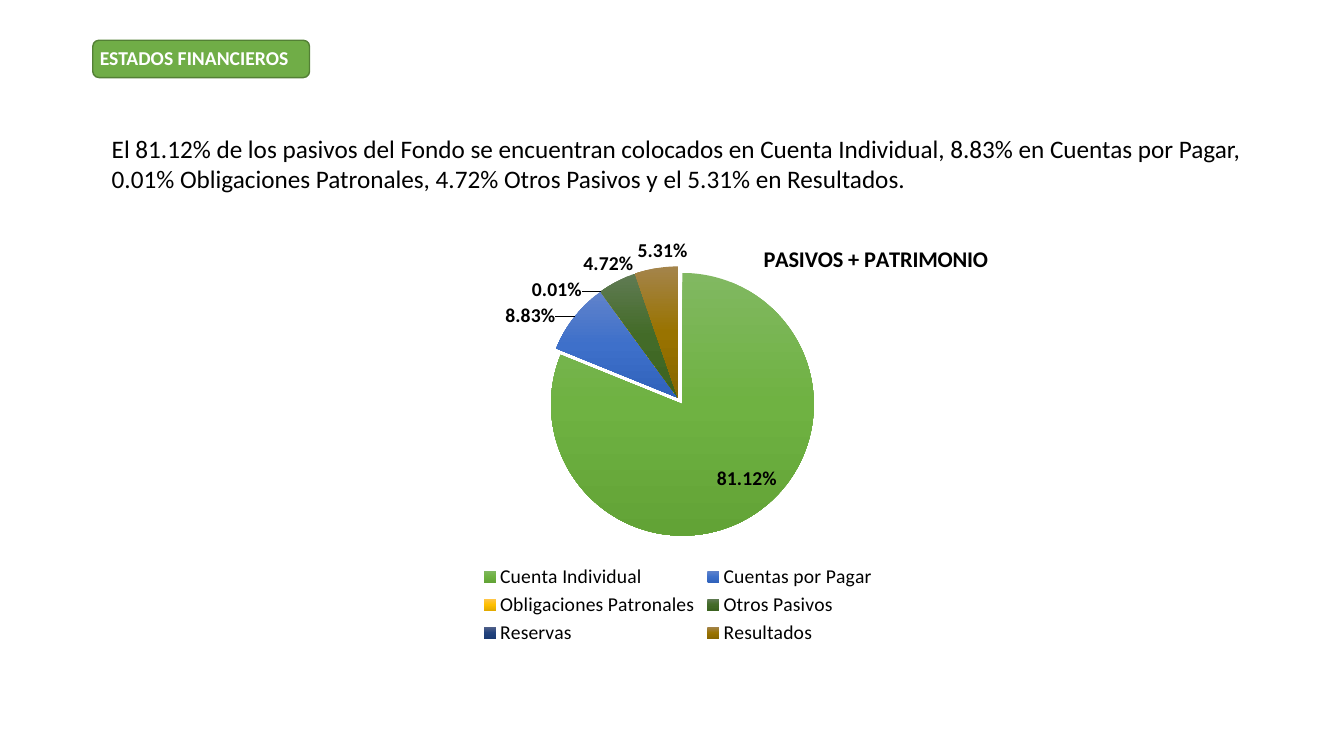
from lxml.etree import SubElement
from pptx import Presentation
from pptx.chart.data import CategoryChartData
from pptx.dml.color import RGBColor
from pptx.enum.chart import XL_CHART_TYPE, XL_LABEL_POSITION, XL_LEGEND_POSITION
from pptx.enum.shapes import MSO_SHAPE
from pptx.enum.text import MSO_ANCHOR
from pptx.oxml.ns import qn
from pptx.util import Inches, Pt

# Content
HEADING = "ESTADOS FINANCIEROS"
SUMMARY = ("El 81.12% de los pasivos del Fondo se encuentran colocados en Cuenta Individual, "
           "8.83% en Cuentas por Pagar, 0.01% Obligaciones Patronales, 4.72% Otros Pasivos "
           "y el 5.31% en Resultados.")
CHART_TITLE = "PASIVOS + PATRIMONIO"
# Category, share, gradient from top to bottom
SLICES = [
    ("Cuenta Individual", 0.8112, ("81B861", "6FB242", "62A336")),
    ("Cuentas por Pagar", 0.0883, ("6183CB", "3E70CA", "3062BB")),
    ("Obligaciones Patronales", 0.0001, ("FFC64B", "FFC000", "E3AB00")),
    ("Otros Pasivos", 0.0472, ("607B53", "436B28", "3B6220")),
    ("Reservas", None, ("516089", "22427D", "1A3A72")),
    ("Resultados", 0.0531, ("A4844B", "997300", "886600")),
]
EXPLOSION = 6

FONT = "Calibri"
BLACK = RGBColor(0x00, 0x00, 0x00)
WHITE = RGBColor(0xFF, 0xFF, 0xFF)
GREEN = RGBColor(0x70, 0xAD, 0x47)
DARK_GREEN = RGBColor(0x53, 0x80, 0x35)


def place(item, left, top, width, height):
    item.left, item.top = Inches(left), Inches(top)
    item.width, item.height = Inches(width), Inches(height)


def style(font, size, color=BLACK, bold=False):
    for name, value in {"name": FONT, "size": Pt(size), "bold": bold}.items():
        setattr(font, name, value)
    font.color.rgb = color


def set_layout(parent, **values):
    """Give a chart part a manual layout, in fractions of the chart."""
    layout = parent.find(qn("c:layout"))
    if layout is None:
        layout = SubElement(parent, qn("c:layout"))
    manual = SubElement(layout, qn("c:manualLayout"))
    for name, value in values.items():
        SubElement(manual, qn("c:" + name)).set("val", str(value))
    return layout


def fill_gradient(point, colors):
    fill = point.format.fill
    fill.gradient()
    fill.gradient_angle = 270
    stops = point.format.fill._fill._gradFill.find(qn("a:gsLst"))
    for stop in list(stops):
        stops.remove(stop)
    for index, color in enumerate(colors):
        stop = SubElement(stops, qn("a:gs"), pos=str(index * 50000))
        SubElement(stop, qn("a:srgbClr"), val=color)


deck = Presentation()
deck.slide_width, deck.slide_height = Inches(13.33), Inches(7.5)
page = deck.slides.add_slide(deck.slide_layouts[5])

# Heading on a green plate
plate = page.shapes.add_shape(MSO_SHAPE.ROUNDED_RECTANGLE, Inches(0.92), Inches(0.4),
                              Inches(2.15), Inches(0.37))
plate.shadow.inherit = False
plate.fill.solid()
plate.fill.fore_color.rgb = GREEN
plate.line.color.rgb = DARK_GREEN
plate.line.width = Pt(1)

heading = page.shapes.title
page.shapes._spTree.append(heading._element)
place(heading, 0.93, 0.42, 2.12, 0.33)
frame = heading.text_frame
for side in ("left", "top", "right", "bottom"):
    setattr(frame, "margin_" + side, Inches(0.06))
frame.vertical_anchor = MSO_ANCHOR.MIDDLE
frame.text = HEADING
para = frame.paragraphs[0]
para.alignment = 1
para.line_spacing = 0.9
style(para.runs[0].font, 14, WHITE, True)

# Summary
box = page.shapes.add_textbox(Inches(1.01), Inches(1.27), Inches(11.82), Inches(0.71))
box.text_frame.word_wrap = True
box.text_frame.text = SUMMARY
style(box.text_frame.paragraphs[0].runs[0].font, 18)

# Pie chart
data = CategoryChartData(number_format="0.00%")
data.categories = [name for name, _, _ in SLICES]
data.add_series("Series 1", [share for _, share, _ in SLICES])
chart = page.shapes.add_chart(XL_CHART_TYPE.PIE, Inches(3.36), Inches(2.16),
                              Inches(6.73), Inches(4.28), data).chart
style(chart.font, 10)

title = chart.chart_title
title.text_frame.text = CHART_TITLE
style(title.text_frame.paragraphs[0].runs[0].font, 16, bold=True)
title.include_in_layout = False
set_layout(title._element, xMode="edge", yMode="edge", x=0.62, y=0.05)

chart.has_legend = True
chart.legend.position = XL_LEGEND_POSITION.BOTTOM
chart.legend.include_in_layout = False
style(chart.legend.font, 14)

plot = chart.plots[0]
plot.vary_by_categories = True
plot_area = plot._element.getparent()
layout = set_layout(plot_area, layoutTarget="inner", xMode="edge", yMode="edge",
                    x=0.093, y=0.113, w=0.814, h=0.609)
plot_area.insert(0, layout)

series = plot.series[0]
for index, (_, _, colors) in enumerate(SLICES):
    fill_gradient(series.points[index], colors)
first_point = series._element.find(qn("c:dPt"))
explosion = SubElement(first_point, qn("c:explosion"))
explosion.set("val", str(EXPLOSION))
first_point.find(qn("c:spPr")).addprevious(explosion)

labels = series.data_labels
labels.show_value = True
labels.show_percentage = False
labels.number_format = "0.00%"
labels.number_format_is_linked = False
labels.position = XL_LABEL_POSITION.BEST_FIT
style(labels.font, 14, bold=True)

deck.save("out.pptx")
